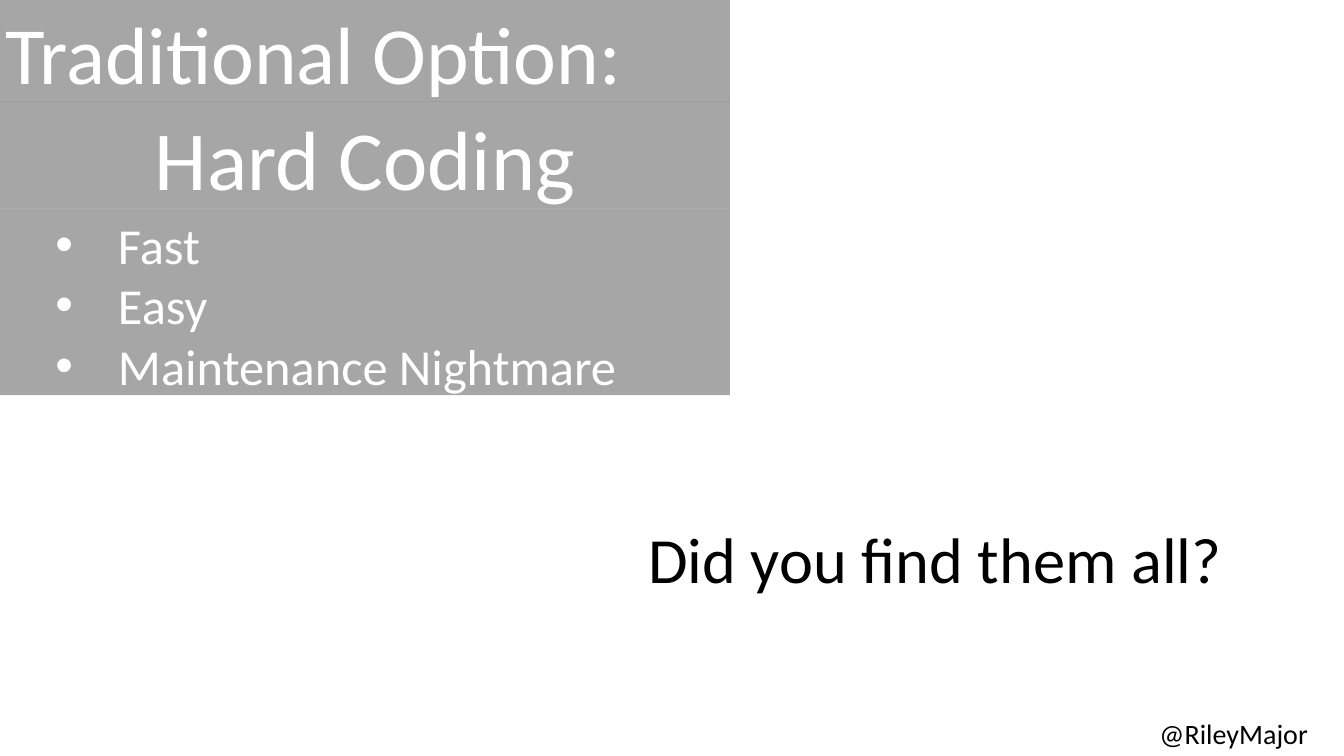
from dataclasses import dataclass
from itertools import accumulate

from lxml.etree import SubElement
from pptx import Presentation
from pptx.dml.color import RGBColor
from pptx.enum.shapes import MSO_SHAPE
from pptx.enum.text import MSO_ANCHOR, MSO_AUTO_SIZE, PP_ALIGN
from pptx.oxml.ns import qn
from pptx.presentation import Presentation as Deck
from pptx.shapes.autoshape import Shape
from pptx.slide import Slide
from pptx.util import Inches, Pt

SLIDE_WIDTH, SLIDE_HEIGHT = Inches(13.33), Inches(7.5)
COLUMN, ROW = SLIDE_WIDTH / 128, SLIDE_HEIGHT / 72
PANEL_TOP, PANEL_COLUMNS = -0.19, 69.52
INSET = Inches(0.05)
BULLET_MARGIN, BULLET_INDENT = Inches(1.12), Inches(-0.62)


@dataclass(frozen=True)
class Theme:
    font: str = "Calibri"
    dark: RGBColor = RGBColor(0, 0, 0)
    light: RGBColor = RGBColor(255, 255, 255)
    panel_opacity: int = 35
    heading: int = 58
    topic: int = 60
    bullet: int = 36
    question: int = 46
    handle: int = 20


@dataclass(frozen=True)
class Panel:
    rows: float
    lines: tuple[str, ...]
    size: int
    alignment: PP_ALIGN = PP_ALIGN.LEFT
    bulleted: bool = False


@dataclass(frozen=True)
class Label:
    column: float
    row: float
    columns: float
    rows: float
    text: str
    size: int
    wrap: bool = True


THEME = Theme()
PANELS = (
    Panel(9.89, ("Traditional Option:",), THEME.heading),
    Panel(10.18, ("Hard Coding",), THEME.topic, PP_ALIGN.CENTER),
    Panel(17.76, ("Fast", "Easy", "Maintenance Nightmare"), THEME.bullet, bulleted=True),
)
LABELS = (
    Label(109.95, 67.78, 15.75, 4.03, "@RileyMajor", THEME.handle, wrap=False),
    Label(61.26, 48.96, 62.03, 8.06, "Did you find them all?", THEME.question),
)


def place(column: float, row: float, columns: float, rows: float) -> tuple[int, ...]:
    """Turn grid units into left, top, width and height."""
    return round(column * COLUMN), round(row * ROW), round(columns * COLUMN), round(rows * ROW)


def write_text(shape: Shape, lines: tuple[str, ...], size: int, color: RGBColor,
               alignment: PP_ALIGN = PP_ALIGN.LEFT, bulleted: bool = False,
               wrap: bool = True) -> None:
    frame = shape.text_frame
    frame.auto_size = MSO_AUTO_SIZE.NONE
    frame.word_wrap = wrap
    frame.vertical_anchor = MSO_ANCHOR.TOP
    frame.margin_left = frame.margin_top = frame.margin_right = frame.margin_bottom = INSET
    frame.text = "\n".join(lines)
    for paragraph in frame.paragraphs:
        paragraph.alignment = alignment
        if bulleted:
            paragraph.level = 1
            properties = paragraph._p.get_or_add_pPr()
            properties.set("marL", str(BULLET_MARGIN))
            properties.set("indent", str(BULLET_INDENT))
            SubElement(SubElement(properties, qn("a:buClr")), qn("a:srgbClr"), val=str(color))
            SubElement(properties, qn("a:buFont"), typeface="Arial")
            SubElement(properties, qn("a:buChar"), char="•")
        paragraph.font.name = THEME.font
        paragraph.font.size = Pt(size)
        paragraph.font.color.rgb = color


def draw_panel(slide: Slide, panel: Panel, top: float) -> None:
    shape = slide.shapes.add_shape(MSO_SHAPE.RECTANGLE, *place(0, top, PANEL_COLUMNS, panel.rows))
    shape.shadow.inherit = False
    shape.line.fill.background()
    shape.fill.solid()
    shape.fill.fore_color.rgb = THEME.dark
    fill_color = shape._element.spPr.find(qn("a:solidFill"))[0]
    SubElement(fill_color, qn("a:alpha"), val=str(THEME.panel_opacity * 1000))
    write_text(shape, panel.lines, panel.size, THEME.light, panel.alignment, panel.bulleted)


def draw_label(slide: Slide, label: Label) -> None:
    box = slide.shapes.add_textbox(*place(label.column, label.row, label.columns, label.rows))
    write_text(box, (label.text,), label.size, THEME.dark, wrap=label.wrap)


def build() -> Deck:
    presentation = Presentation()
    presentation.slide_width, presentation.slide_height = SLIDE_WIDTH, SLIDE_HEIGHT
    slide = presentation.slides.add_slide(presentation.slide_layouts[6])
    tops = accumulate((panel.rows for panel in PANELS), initial=PANEL_TOP)
    for panel, top in zip(PANELS, tops):
        draw_panel(slide, panel, top)
    for label in LABELS:
        draw_label(slide, label)
    return presentation


if __name__ == "__main__":
    build().save("out.pptx")
